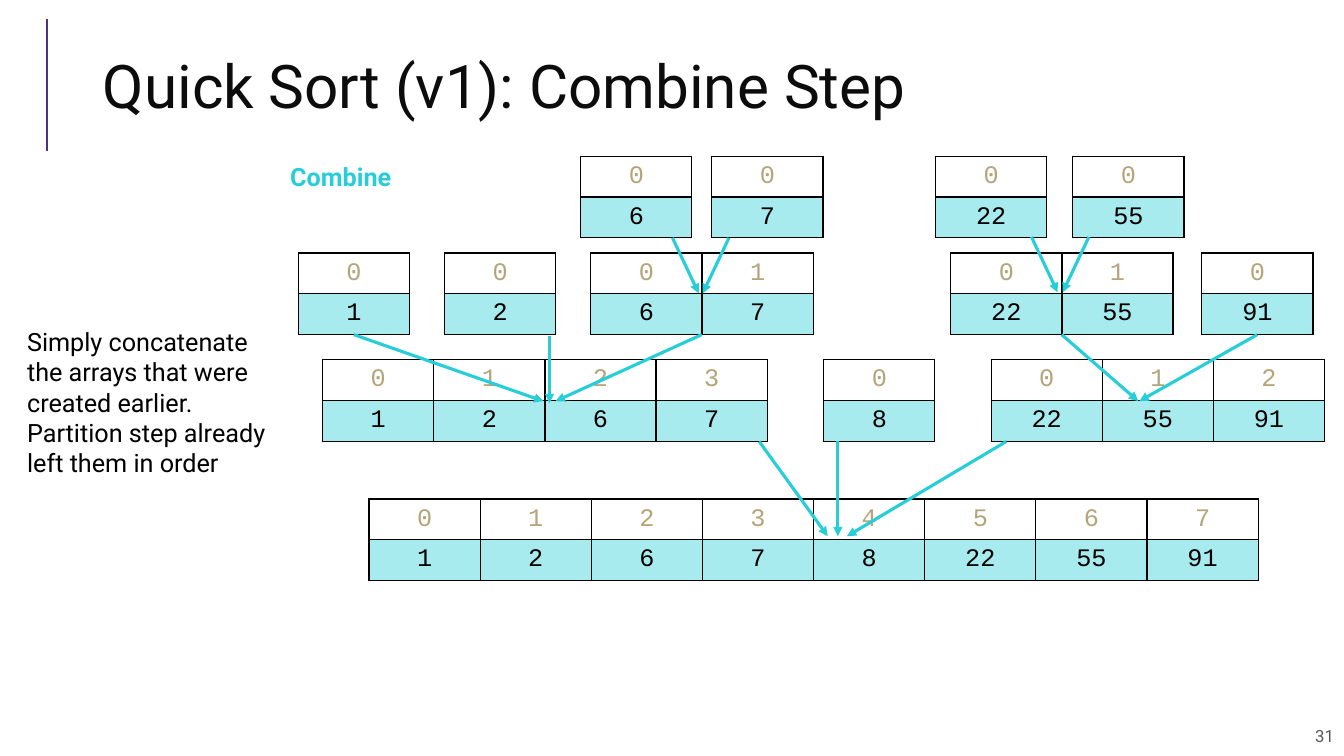
"""Build the slide on the combine step of quick sort."""
from lxml.etree import SubElement
from pptx import Presentation
from pptx.dml.color import RGBColor
from pptx.enum.shapes import MSO_CONNECTOR
from pptx.enum.text import MSO_ANCHOR, MSO_AUTO_SIZE, PP_ALIGN
from pptx.oxml.ns import qn
from pptx.util import Inches, Pt

BLACK, TURQUOISE, PURPLE = "000000", "27CED7", "4C3282"
INDEX_INK, INDEX_FILL, VALUE_FILL = "B6A479", "FFFFFF", "A7EBEF"
CELL_WIDTH, CELL_HEIGHT = 8.82 / 8, 0.81 / 2


def colour(code):
    return RGBColor.from_string(code)


def write(frame, text, size=18, font="Roboto", ink=BLACK, bold=False,
          align=PP_ALIGN.LEFT, anchor=MSO_ANCHOR.TOP, spacing=None):
    frame.vertical_anchor = anchor
    paragraph = frame.paragraphs[0]
    paragraph.alignment = align
    paragraph.line_spacing = spacing
    run = paragraph.add_run()
    run.text = text
    run.font.size = Pt(size)
    run.font.name = font
    run.font.bold = bold
    run.font.color.rgb = colour(ink)


deck = Presentation()
deck.slide_width, deck.slide_height = Inches(13.33), Inches(7.5)
slide = deck.slides.add_slide(deck.slide_layouts[5])

heading = slide.shapes.title
heading.left, heading.top = Inches(0.92), Inches(0.49)
heading.width, heading.height = Inches(11.5), Inches(0.83)
heading.text_frame.auto_size = MSO_AUTO_SIZE.NONE
write(heading.text_frame, "Quick Sort (v1): Combine Step", size=43,
      ink="0C0C0C", anchor=MSO_ANCHOR.MIDDLE, spacing=0.8)

explanation = ("Simply concatenate the arrays that were created earlier. "
               "Partition step already left them in order")
captions = [
    (2.78, 1.55, 1.45, 0.4, "Combine", dict(ink=TURQUOISE, bold=True)),
    (0.17, 3.19, 2.68, 1.62, explanation, {}),
    (8.65, 7.1, 4.68, 0.4, "31", dict(size=12, ink="595959", align=PP_ALIGN.RIGHT,
                                      anchor=MSO_ANCHOR.MIDDLE)),
]
for left, top, width, height, text, style in captions:
    caption = slide.shapes.add_textbox(Inches(left), Inches(top),
                                       Inches(width), Inches(height))
    caption.text_frame.word_wrap = True
    write(caption.text_frame, text, **style)

levels = {
    1.55: [(5.76, [6]), (7.06, [7]), (9.28, [22]), (10.64, [55])],
    2.51: [(2.96, [1]), (4.41, [2]), (5.86, [6, 7]), (9.43, [22, 55]), (11.92, [91])],
    3.57: [(3.2, [1, 2, 6, 7]), (8.17, [8]), (9.83, [22, 55, 91])],
    4.95: [(3.66, [1, 2, 6, 7, 8, 22, 55, 91])],
}
for top, arrays in levels.items():
    for left, values in arrays:
        array = slide.shapes.add_table(
            2, len(values), Inches(left), Inches(top),
            Inches(CELL_WIDTH * len(values)), Inches(2 * CELL_HEIGHT)).table
        array.first_row = array.horz_banding = False
        for column in array.columns:
            column.width = Inches(CELL_WIDTH)
        rows = [(range(len(values)), INDEX_INK, INDEX_FILL), (values, BLACK, VALUE_FILL)]
        for row, (numbers, ink, fill) in enumerate(rows):
            array.rows[row].height = Inches(CELL_HEIGHT)
            for position, number in enumerate(numbers):
                cell = array.cell(row, position)
                write(cell.text_frame, str(number), font="Courier New", ink=ink,
                      align=PP_ALIGN.CENTER)
                cell.vertical_anchor = MSO_ANCHOR.MIDDLE
                properties = cell._tc.get_or_add_tcPr()
                for side in ("a:lnL", "a:lnR", "a:lnT", "a:lnB"):
                    border = SubElement(properties, qn(side), w=str(Pt(1)))
                    SubElement(SubElement(border, qn("a:solidFill")),
                               qn("a:srgbClr"), val=BLACK)
                cell.fill.solid()
                cell.fill.fore_color.rgb = colour(fill)

divider = (0.47, 1.5, 0.47, 0.19)
merges = [
    (7.23, 2.36, 6.97, 2.91), (6.67, 2.36, 6.93, 2.91),
    (10.8, 2.35, 10.54, 2.9), (10.23, 2.35, 10.49, 2.9),
    (5.45, 3.33, 5.45, 4), (3.51, 3.32, 5.39, 3.98), (6.96, 3.32, 5.51, 3.98),
    (10.53, 3.32, 11.29, 3.98), (12.47, 3.32, 11.3, 3.98),
    (7.53, 4.38, 8.21, 5.32), (8.31, 4.38, 8.31, 5.32), (9.98, 4.38, 8.4, 5.32),
]
for ends in [divider, *merges]:
    stroke = slide.shapes.add_connector(MSO_CONNECTOR.STRAIGHT, *map(Inches, ends))
    stroke.line.color.rgb = colour(PURPLE if ends == divider else TURQUOISE)
    stroke.line.width = Pt(1.5 if ends == divider else 2.25)
    if ends != divider:
        SubElement(stroke.line._get_or_add_ln(), qn("a:tailEnd"), type="triangle")
    SubElement(stroke._element.spPr, qn("a:effectLst"))

deck.save("out.pptx")
